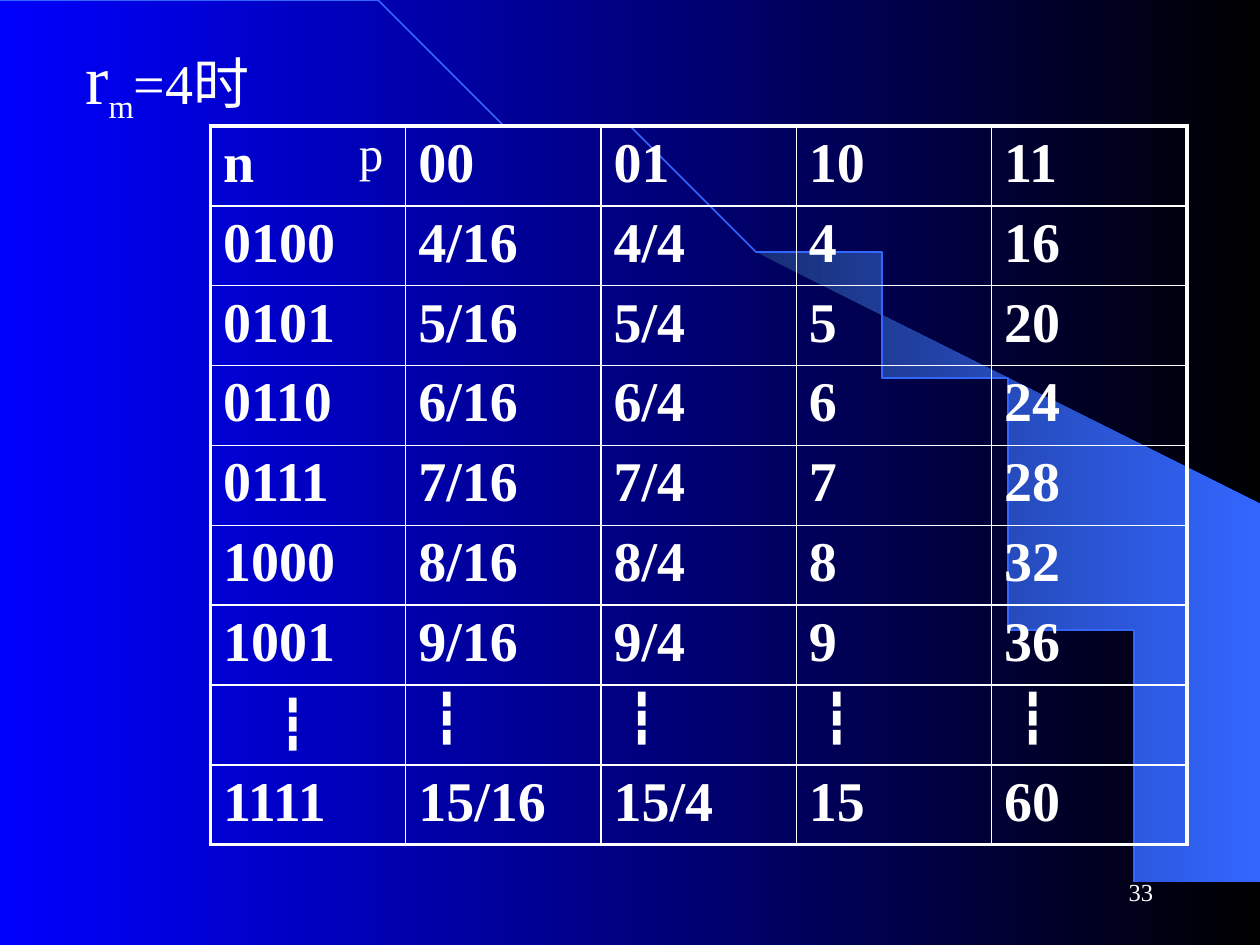
import math
from dataclasses import dataclass

from lxml import etree
from pptx import Presentation
from pptx.dml.color import RGBColor
from pptx.enum.text import MSO_ANCHOR, PP_ALIGN
from pptx.oxml.ns import qn
from pptx.util import Inches, Pt


@dataclass(frozen=True)
class Theme:
    font: str = "Times New Roman"
    text: str = "FFFFFF"
    back_start: str = "0000FF"
    back_end: str = "000000"
    wedge_start: str = "182F76"
    accent: str = "3366FF"
    title: int = 40
    body: int = 32
    small: int = 28
    number: int = 14
    outer_line: float = 2.25
    inner_line: float = 1


THEME = Theme()
ARC_WIDTH, ARC_HEIGHT = 9.2, 7.49
ELLIPSIS = "┇"


def rgb(value):
    return RGBColor.from_string(value)


def set_gradient(fill, start, end):
    fill.gradient()
    fill.gradient_angle = 0
    for stop, color in zip(fill.gradient_stops, (start, end)):
        stop.color.rgb = rgb(color)


def arc_points(start_x, steps=60):
    start = math.asin(start_x / ARC_WIDTH)
    angles = [start + (math.pi / 2 - start) * i / steps for i in range(steps + 1)]
    return [(ARC_WIDTH * math.sin(a), ARC_HEIGHT * (1 - math.cos(a))) for a in angles]


def add_outline(slide, points, close):
    builder = slide.shapes.build_freeform(*points[0], scale=Inches(1))
    builder.add_line_segments(points[1:], close=close)
    shape = builder.convert_to_shape()
    shape.shadow.inherit = False
    return shape


def add_backdrop(slide):
    set_gradient(slide.background.fill, THEME.back_start, THEME.back_end)
    wedge = add_outline(slide, arc_points(5.89) + [(9.99, 7.49), (9.99, 4.23)], True)
    set_gradient(wedge.fill, THEME.wedge_start, THEME.accent)
    wedge.line.fill.background()
    arc = add_outline(slide, arc_points(0), False)
    arc.fill.background()
    arc.line.color.rgb = rgb(THEME.accent)
    arc.line.width = Pt(1)


def add_run(paragraph, text, size, bold=False):
    run = paragraph.add_run()
    run.text = text
    run.font.name = THEME.font
    run.font.size = Pt(size)
    run.font.bold = bold
    run.font.color.rgb = rgb(THEME.text)
    return run


def add_text(slide, box, runs, anchor=MSO_ANCHOR.MIDDLE, align=PP_ALIGN.LEFT):
    frame = slide.shapes.add_textbox(*map(Inches, box)).text_frame
    frame.word_wrap = True
    frame.vertical_anchor = anchor
    paragraph = frame.paragraphs[0]
    paragraph.alignment = align
    return [add_run(paragraph, text, size) for text, size in runs]


def set_borders(cell, widths):
    properties = cell._tc.get_or_add_tcPr()
    for side, width in zip("LRTB", widths):
        line = etree.SubElement(properties, qn(f"a:ln{side}"), w=str(Pt(width)))
        fill = etree.SubElement(line, qn("a:solidFill"))
        etree.SubElement(fill, qn("a:srgbClr"), val=THEME.text)


def fill_cell(cell, text, first_column):
    paragraph = cell.text_frame.paragraphs[0]
    size = THEME.body
    if text == ELLIPSIS:
        size = THEME.small
        indent = 0.44 if first_column else 0.11
        paragraph._p.get_or_add_pPr().set("marL", str(Inches(indent)))
        if first_column:
            cell.margin_top = Inches(0.1)
    add_run(paragraph, text, size, bold=True)


def add_grid(slide, rows):
    last_row, last_column = len(rows) - 1, len(rows[0]) - 1
    frame = slide.shapes.add_table(
        len(rows), len(rows[0]), Inches(1.67), Inches(1), Inches(7.75), Inches(5.7)
    )
    table = frame.table
    table.first_row = table.horz_banding = False
    for r, values in enumerate(rows):
        for c, text in enumerate(values):
            cell = table.cell(r, c)
            fill_cell(cell, text, c == 0)
            edges = (c == 0, c == last_column, r == 0, r == last_row)
            set_borders(
                cell, [THEME.outer_line if e else THEME.inner_line for e in edges]
            )
            cell.fill.background()


def value_row(n):
    return [f"{n:04b}", f"{n}/16", f"{n}/4", str(n), str(4 * n)]


def main():
    deck = Presentation()
    deck.slide_width, deck.slide_height = Inches(10), Inches(7.5)
    slide = deck.slides.add_slide(deck.slide_layouts[6])
    add_backdrop(slide)
    add_text(slide, (7.17, 6.83, 2.08, 0.5), [("33", THEME.number)], align=PP_ALIGN.RIGHT)
    title = [("r", THEME.title), ("m", THEME.body), ("=4时", THEME.body)]
    subscript = add_text(slide, (0.58, 0.17, 7, 0.92), title)[1]
    subscript.font._element.set("baseline", "-25000")
    header = ["n", "00", "01", "10", "11"]
    values = [value_row(n) for n in range(4, 10)]
    add_grid(slide, [header, *values, [ELLIPSIS] * 5, value_row(15)])
    add_text(slide, (2.75, 0.92, 0.5, 0.57), [("p", THEME.small)], MSO_ANCHOR.TOP)
    deck.save("out.pptx")


main()
